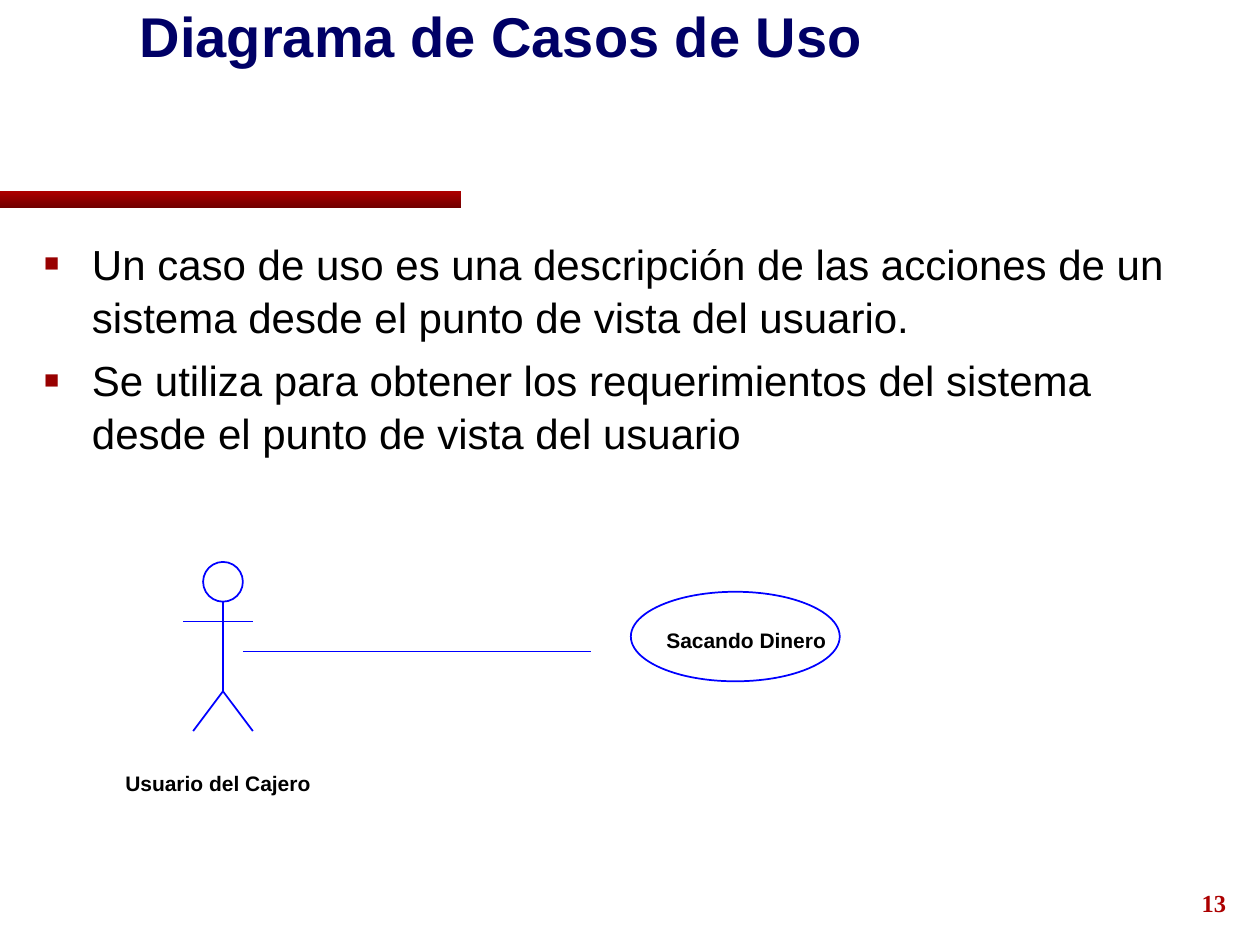
import pptx
import pptx.util
import pptx.dml.color
import pptx.enum.shapes
import pptx.enum.text
import pptx.oxml
import pptx.oxml.ns

Pt = pptx.util.Pt
Inches = pptx.util.Inches
Align = pptx.enum.text.PP_ALIGN
Anchor = pptx.enum.text.MSO_ANCHOR
Shape = pptx.enum.shapes.MSO_SHAPE

TITLE = "Diagrama de Casos de Uso"
POINTS = [
    "Un caso de uso es una descripción de las acciones de un sistema "
    "desde el punto de vista del usuario.",
    "Se utiliza para obtener los requerimientos del sistema "
    "desde el punto de vista del usuario",
]
NUMBER = "13"
HEX = {"title": "000066", "text": "000000", "line": "0000FF", "bullet": "980000",
       "top": "AC0000", "low": "710000"}

# Diagram grid: x from the actor's axis, y from the top of the head
WIDE, HIGH = 10, 7.5
UNIT = HIGH / 95
AXIS, TOP = 1.77, 4.46
OVALS = {"head": (-2, 0, 4, 4), "case": (41, 3, 21, 9)}
LINES = {
    "torso": (0, 4, 0, 13),
    "left leg": (0, 13, -3, 17),
    "right leg": (0, 13, 3, 17),
    "arms": (-4, 6, 3, 6),
    "link": (2, 9, 37, 9),
}
LABELS = [
    ("Usuario del Cajero", (-11.1, 20.3, 21.2, 3.8)),
    ("Sacando Dinero", (43.3, 6, 18.6, 3.8)),
]


def color(key):
    return pptx.dml.color.RGBColor.from_string(HEX[key])


def spot(x, y):
    return Inches(AXIS + x * UNIT), Inches(TOP + y * UNIT)


def cell(x, y, w, h):
    return *spot(x, y), Inches(w * UNIT), Inches(h * UNIT)


def place(shape, box):
    shape.left, shape.top, shape.width, shape.height = map(Inches, box)


def write(para, text, size, key, bold=False, face="Arial"):
    run = para.add_run()
    run.text = text
    font = run.font
    font.name, font.size, font.bold = face, Pt(size), bold
    font.color.rgb = color(key)


def bullet(para):
    props = para._p.get_or_add_pPr()
    props.set("marL", str(Inches(0.38)))
    props.set("indent", str(-Inches(0.38)))
    space = pptx.oxml.ns.nsdecls("a")
    for part in (
        f'<a:buClr {space}><a:srgbClr val="{HEX["bullet"]}"/></a:buClr>',
        f'<a:buSzPct {space} val="60000"/>',
        f'<a:buFont {space} typeface="Arial"/>',
        f'<a:buChar {space} char="■"/>',
    ):
        props.append(pptx.oxml.parse_xml(part))


def add_bar(slide):
    bar = slide.shapes.add_shape(Shape.RECTANGLE, 0, Inches(1.52), Inches(3.66), Inches(0.13))
    bar.shadow.inherit = False
    bar.line.fill.background()
    bar.fill.gradient()
    bar.fill.gradient_angle = 270
    for stop, key, pos in zip(bar.fill.gradient_stops, ("top", "low"), (0, 1)):
        stop.color.rgb = color(key)
        stop.position = pos


def add_text(slide):
    title = slide.shapes.title
    place(title, (1.01, 0.02, 8.15, 1.04))
    frame = title.text_frame
    frame.vertical_anchor = Anchor.TOP
    frame.auto_size = pptx.enum.text.MSO_AUTO_SIZE.NONE
    para = frame.paragraphs[0]
    para.alignment, para.line_spacing = Align.LEFT, 0.9
    write(para, TITLE, 32, "title", True)

    body = slide.placeholders[1]
    place(body, (0.25, 1.82, 9.5, 5))
    frame = body.text_frame
    frame.auto_size = pptx.enum.text.MSO_AUTO_SIZE.NONE
    for i, text in enumerate(POINTS):
        para = frame.add_paragraph() if i else frame.paragraphs[0]
        para.space_before, para.line_spacing = Pt(6), 1.05
        bullet(para)
        write(para, text, 24, "text")


def add_case(slide):
    for box in OVALS.values():
        oval = slide.shapes.add_shape(Shape.OVAL, *cell(*box))
        oval.shadow.inherit = False
        oval.fill.background()
        oval.line.color.rgb = color("line")
        oval.line.width = Pt(1)
    for x1, y1, x2, y2 in LINES.values():
        line = slide.shapes.add_connector(
            pptx.enum.shapes.MSO_CONNECTOR.STRAIGHT, *spot(x1, y1), *spot(x2, y2))
        line.line.color.rgb = color("line")
        line.line.width = Pt(1)
        line._element.spPr.append(pptx.oxml.parse_xml(
            f'<a:effectLst {pptx.oxml.ns.nsdecls("a")}/>'))
    for text, box in LABELS:
        frame = slide.shapes.add_textbox(*cell(*box)).text_frame
        frame.word_wrap = False
        para = frame.paragraphs[0]
        para.alignment, para.space_before = Align.CENTER, Pt(3)
        write(para, text, 12, "text", True)


def add_number(slide):
    box = slide.shapes.add_textbox(*map(Inches, (7.75, 6.83, 2.08, 0.5)))
    frame = box.text_frame
    frame.word_wrap = True
    frame.vertical_anchor = Anchor.BOTTOM
    para = frame.paragraphs[0]
    para.alignment = Align.RIGHT
    write(para, NUMBER, 14, "top", True, "Times New Roman")


def main():
    deck = pptx.Presentation()
    deck.slide_width, deck.slide_height = Inches(WIDE), Inches(HIGH)
    slide = deck.slides.add_slide(deck.slide_layouts[1])
    add_bar(slide)
    add_text(slide)
    add_case(slide)
    add_number(slide)
    deck.save("out.pptx")


if __name__ == "__main__":
    main()
